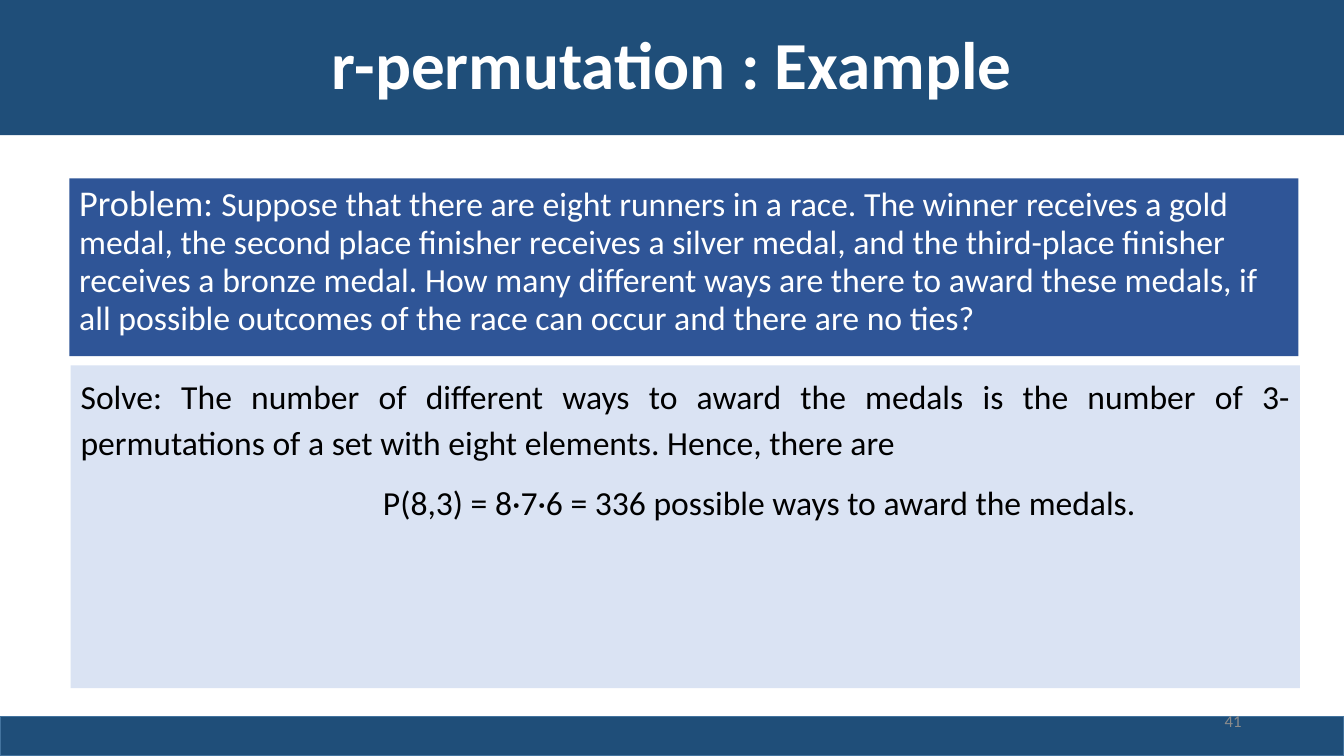
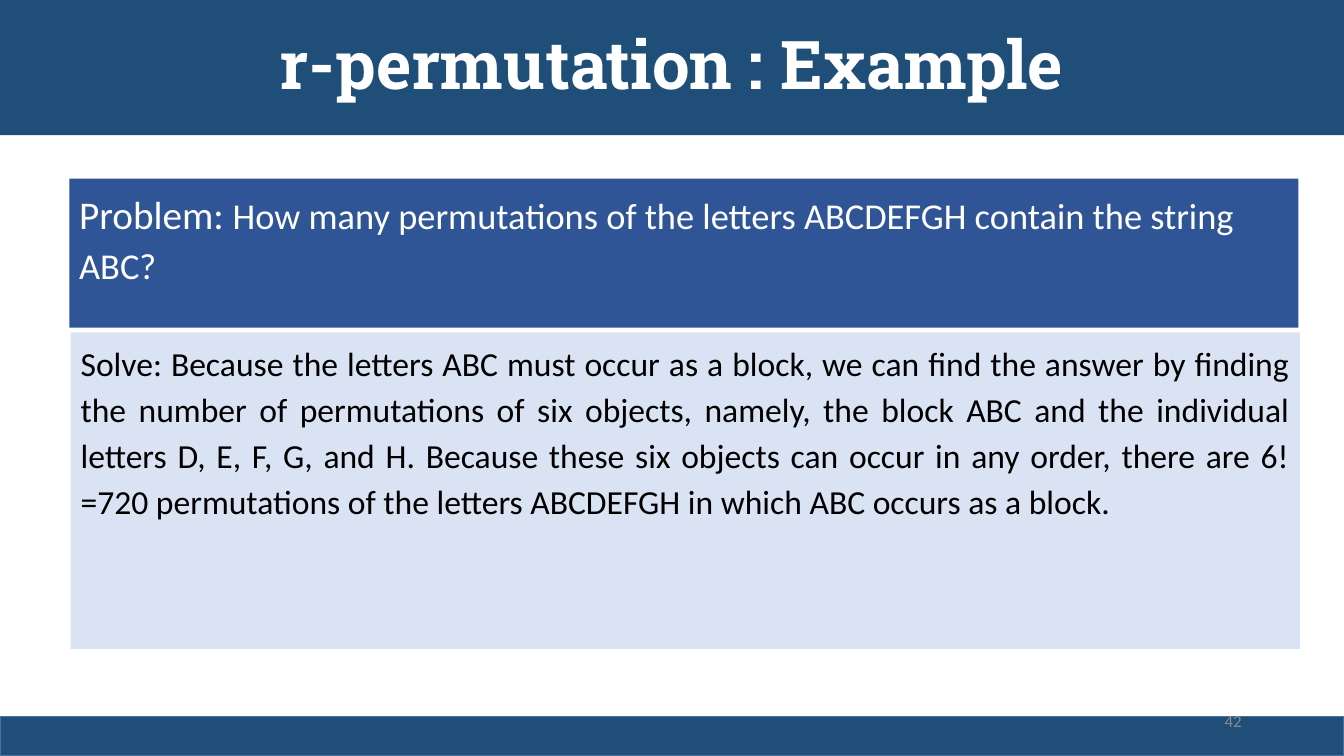
"""Build two worked r-permutation example slides."""
from pptx import Presentation
from pptx.dml.color import RGBColor
from pptx.enum import shapes, text
from pptx.util import Pt

NAVY, NAVY_EDGE, BLUE, PALE = "1F4E79", "43739E", "2F5597", "DAE3F3"
WHITE, BLACK, GREY = "FFFFFF", "000000", "8C8C8C"
WIDTH, HEIGHT = 960, 540
LEFT, PANEL_WIDTH, PROBLEM_TOP = 50, 878, 127.5
FORMULA_INDENT = 216
ALIGN, ANCHOR = text.PP_ALIGN, text.MSO_ANCHOR


def add_box(slide, left, top, width, height, fill=None, edge=None, anchor=ANCHOR.TOP):
    box = slide.shapes.add_shape(
        shapes.MSO_SHAPE.RECTANGLE, Pt(left), Pt(top), Pt(width), Pt(height))
    box.shadow.inherit = False
    if fill:
        box.fill.solid()
        box.fill.fore_color.rgb = RGBColor.from_string(fill)
    else:
        box.fill.background()
    if edge:
        box.line.color.rgb = RGBColor.from_string(edge)
        box.line.width = Pt(1)
    else:
        box.line.fill.background()
    box.text_frame.word_wrap = True
    box.text_frame.vertical_anchor = anchor
    return box.text_frame


def write(paragraph, pieces, color, align, spacing=1.0, font="Calibri", bold=False):
    paragraph.alignment = align
    paragraph.line_spacing = spacing
    for words, size in pieces:
        run = paragraph.add_run()
        run.text = words
        run.font.name = font
        run.font.size = Pt(size)
        run.font.bold = bold
        run.font.color.rgb = RGBColor.from_string(color)


examples = [
    {
        "number": "41",
        "title_font": "Calibri",
        "problem": [
            ("Problem: ", 25.9),
            ("Suppose that there are eight runners in a race. The winner receives a gold "
             "medal, the second place finisher receives a silver medal, and the third-place "
             "finisher receives a bronze medal. How many different ways are there to award "
             "these medals, if all possible outcomes of the race can occur and there are "
             "no ties?", 24.1),
        ],
        "problem_spacing": 0.94,
        "problem_height": 127,
        "solution": "Solve: The number of different ways to award the medals is the number of "
                    "3-permutations of a set with eight elements. Hence, there are",
        "formula": "P(8,3) = 8·7·6 = 336 possible ways to award the medals.",
        "solution_top": 261,
        "solution_height": 230.5,
    },
    {
        "number": "42",
        "title_font": "Roboto Slab",
        "problem": [
            ("Problem: ", 28),
            ("How many permutations of the letters ABCDEFGH contain the string ABC?", 26),
        ],
        "problem_spacing": 1.14,
        "problem_height": 106.5,
        "solution": "Solve: Because the letters ABC must occur as a block, we can find the "
                    "answer by finding the number of permutations of six objects, namely, the "
                    "block ABC and the individual letters D, E, F, G, and H. Because these six "
                    "objects can occur in any order, there are 6!=720 permutations of the "
                    "letters ABCDEFGH in which ABC occurs as a block.",
        "formula": None,
        "solution_top": 237.5,
        "solution_height": 226,
    },
]

deck = Presentation()
deck.slide_width, deck.slide_height = Pt(WIDTH), Pt(HEIGHT)

for example in examples:
    slide = deck.slides.add_slide(deck.slide_layouts[6])

    title = add_box(slide, 0, 0, WIDTH, 96.5, NAVY, anchor=ANCHOR.MIDDLE)
    write(title.paragraphs[0], [("r-permutation : Example", 48)], WHITE, ALIGN.CENTER,
          0.9, example["title_font"], True)

    add_box(slide, 0, 512, WIDTH, 28, NAVY, NAVY_EDGE)

    problem = add_box(slide, LEFT - 0.5, PROBLEM_TOP, PANEL_WIDTH,
                      example["problem_height"], BLUE)
    write(problem.paragraphs[0], example["problem"], WHITE, ALIGN.LEFT,
          example["problem_spacing"])

    solution = add_box(slide, LEFT + 0.5, example["solution_top"], PANEL_WIDTH,
                       example["solution_height"], PALE)
    write(solution.paragraphs[0], [(example["solution"], 24)], BLACK, ALIGN.JUSTIFY, 1.14)
    if example["formula"]:
        formula = solution.add_paragraph()
        formula.space_before = Pt(10)
        formula._p.get_or_add_pPr().set("marL", str(Pt(FORMULA_INDENT)))
        write(formula, [(example["formula"], 24)], BLACK, ALIGN.JUSTIFY, 1.14)

    number = add_box(slide, 678, 500.5, 216, 28.75, anchor=ANCHOR.MIDDLE)
    write(number.paragraphs[0], [(example["number"], 12)], GREY, ALIGN.RIGHT)

deck.save("out.pptx")
